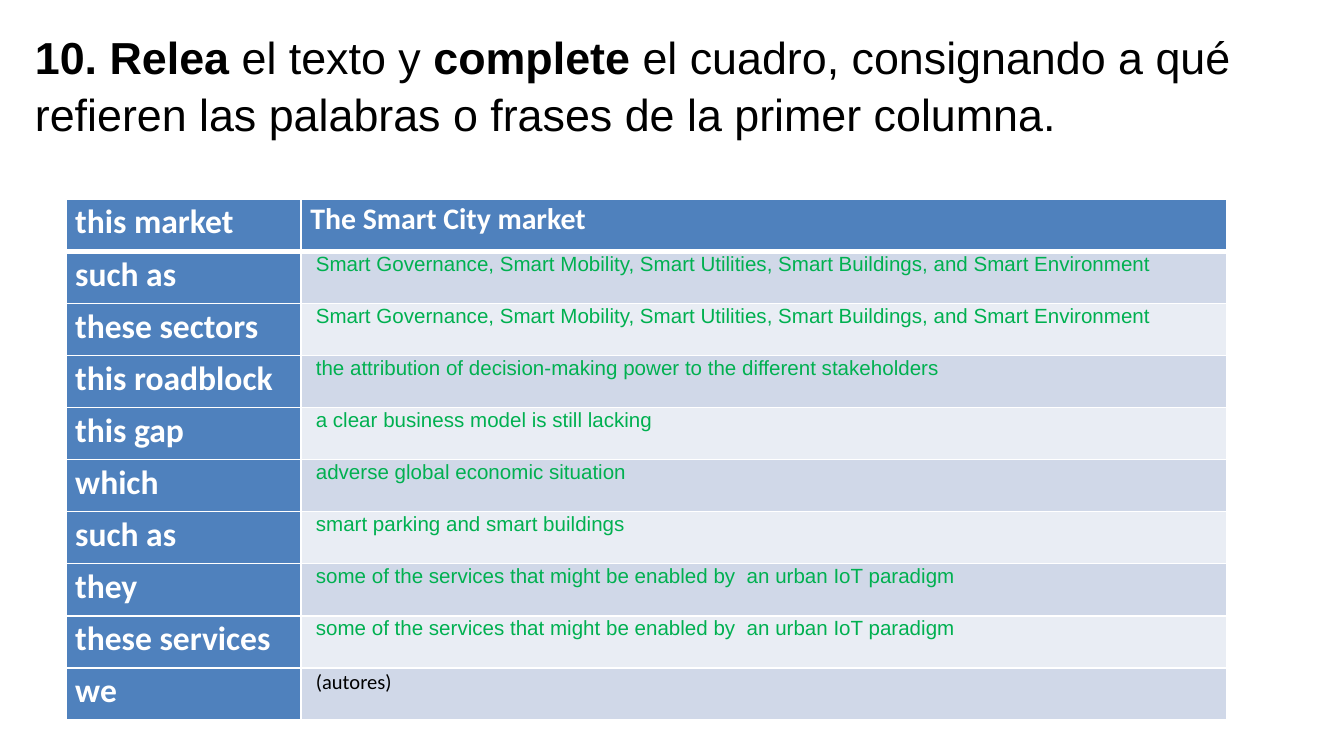
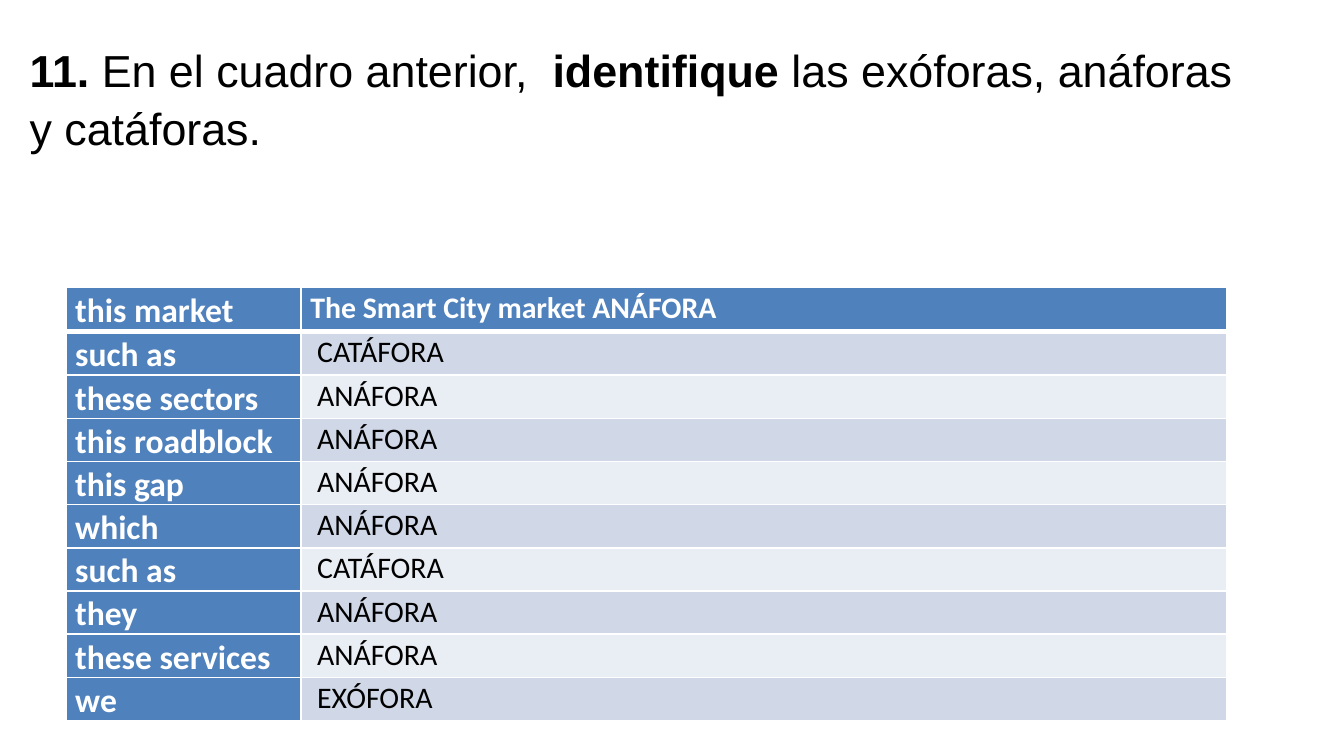
from lxml.etree import SubElement
from pptx import Presentation
from pptx.dml.color import RGBColor
from pptx.enum.text import MSO_ANCHOR, MSO_AUTO_SIZE, PP_ALIGN
from pptx.oxml.ns import qn
from pptx.util import Inches, Pt

BLACK = RGBColor(0x00, 0x00, 0x00)
WHITE = RGBColor(0xFF, 0xFF, 0xFF)
BLUE = RGBColor(0x4F, 0x81, 0xBD)
GREEN = RGBColor(0x00, 0xB0, 0x50)
BANDS = (RGBColor(0xE9, 0xED, 0xF4), RGBColor(0xD0, 0xD8, 0xE8))

PHRASES = ["this market", "such as", "these sectors", "this roadblock", "this gap",
           "which", "such as", "they", "these services", "we"]
SECTORS = "Smart Governance, Smart Mobility, Smart Utilities, Smart Buildings, and Smart Environment"
SERVICES = "some of the services that might be enabled by  an urban IoT paradigm"
AUTHORS = "(autores)"

# Title pieces are (text, bold); boxes are left, top, width, height in inches.
EXERCISES = [
    {
        "title": [("10. Relea", True), (" el texto y ", False), ("complete ", True),
                  ("el cuadro, consignando a qué refieren las palabras o frases "
                   "de la primer columna.", False)],
        "title_box": (0.16, 0.14, 9.35, 0.94),
        "table_top": 1.48,
        "table_height": 3.88,
        "header_height": 0.39,
        "answer_style": ("Arial", 11, GREEN),
        "answer_indent": 0.11,
        "answers": ["The Smart City market", SECTORS, SECTORS,
                    "the attribution of decision-making power to the different stakeholders",
                    "a clear business model is still lacking",
                    "adverse global economic situation",
                    "smart parking and smart buildings",
                    SERVICES, SERVICES, AUTHORS],
    },
    {
        "title": [("11. ", True), ("En el cuadro anterior,  ", False),
                  ("identifique ", True),
                  ("las exóforas, anáforas y catáforas.", False)],
        "title_box": (0.12, 0.24, 9.39, 0.97),
        "table_top": 2.14,
        "table_height": 3.22,
        "header_height": 0.33,
        "answer_style": ("Calibri", 16, BLACK),
        "answer_indent": 0.12,
        "answers": ["The Smart City market ANÁFORA", "CATÁFORA", "ANÁFORA", "ANÁFORA",
                    "ANÁFORA", "ANÁFORA", "CATÁFORA", "ANÁFORA", "ANÁFORA", "EXÓFORA"],
    },
]

SLIDE_WIDTH = Inches(10)
SLIDE_HEIGHT = SLIDE_WIDTH * 9 // 16
TABLE_LEFT = 0.49
COLUMN_WIDTHS = (1.75, 6.89)
CELL_MARGIN = 0.07
LINE_SPACING = 1.07
THIN, THICK = 1, 3


def format_font(font, name, size, color, bold):
    font.name = name
    font.size = Pt(size)
    font.color.rgb = color
    font.bold = bold


def add_title(slide, pieces, box):
    title = slide.shapes.title
    title.left, title.top, title.width, title.height = map(Inches, box)
    frame = title.text_frame
    frame.word_wrap = True
    frame.auto_size = MSO_AUTO_SIZE.SHAPE_TO_FIT_TEXT
    frame.vertical_anchor = MSO_ANCHOR.TOP
    paragraph = frame.paragraphs[0]
    paragraph.alignment = PP_ALIGN.LEFT
    paragraph.line_spacing = LINE_SPACING
    paragraph.space_after = Pt(8)
    for text, bold in pieces:
        run = paragraph.add_run()
        run.text = text
        format_font(run.font, "Arial", 24, BLACK, bold)


def set_borders(cell, top, bottom):
    """Draw white borders; top and bottom are widths in points."""
    properties = cell._tc.get_or_add_tcPr()
    for side, width in (("L", THIN), ("R", THIN), ("T", top), ("B", bottom)):
        line = SubElement(properties, qn(f"a:ln{side}"), w=str(Pt(width)))
        fill = SubElement(line, qn("a:solidFill"))
        SubElement(fill, qn("a:srgbClr"), val=str(WHITE))


def fill_cell(cell, text, row, fill, style, indent=CELL_MARGIN):
    set_borders(cell, THICK if row == 1 else THIN, THICK if row == 0 else THIN)
    cell.fill.solid()
    cell.fill.fore_color.rgb = fill
    cell.margin_left, cell.margin_right = Inches(indent), Inches(CELL_MARGIN)
    cell.margin_top = cell.margin_bottom = 0
    cell.vertical_anchor = MSO_ANCHOR.TOP
    cell.text_frame.text = text
    paragraph = cell.text_frame.paragraphs[0]
    paragraph.line_spacing = LINE_SPACING
    format_font(paragraph.runs[0].font, *style)


def add_reference_table(slide, exercise):
    answers = exercise["answers"]
    header_height, table_height = exercise["header_height"], exercise["table_height"]
    body_rows = len(answers) - 1
    heights = [header_height] + [(table_height - header_height) / body_rows] * body_rows
    table = slide.shapes.add_table(
        len(answers), len(COLUMN_WIDTHS), Inches(TABLE_LEFT), Inches(exercise["table_top"]),
        Inches(sum(COLUMN_WIDTHS)), Inches(table_height)).table
    table.first_col = True
    for column, width in zip(table.columns, COLUMN_WIDTHS):
        column.width = Inches(width)

    for row, (phrase, answer, height) in enumerate(zip(PHRASES, answers, heights)):
        table.rows[row].height = Inches(height)
        fill_cell(table.cell(row, 0), phrase, row, BLUE, ("Calibri", 18, WHITE, True))
        answer_cell = table.cell(row, 1)
        if row == 0:
            fill_cell(answer_cell, answer, row, BLUE, ("Calibri", 16, WHITE, True))
            continue
        style = ("Calibri", 11, BLACK) if answer == AUTHORS else exercise["answer_style"]
        fill_cell(answer_cell, answer, row, BANDS[row % 2], (*style, False),
                  exercise["answer_indent"])


def main():
    deck = Presentation()
    deck.slide_width, deck.slide_height = SLIDE_WIDTH, SLIDE_HEIGHT
    title_only = deck.slide_layouts.get_by_name("Title Only")
    for exercise in EXERCISES:
        slide = deck.slides.add_slide(title_only)
        add_title(slide, exercise["title"], exercise["title_box"])
        add_reference_table(slide, exercise)
    deck.save("out.pptx")


if __name__ == "__main__":
    main()
